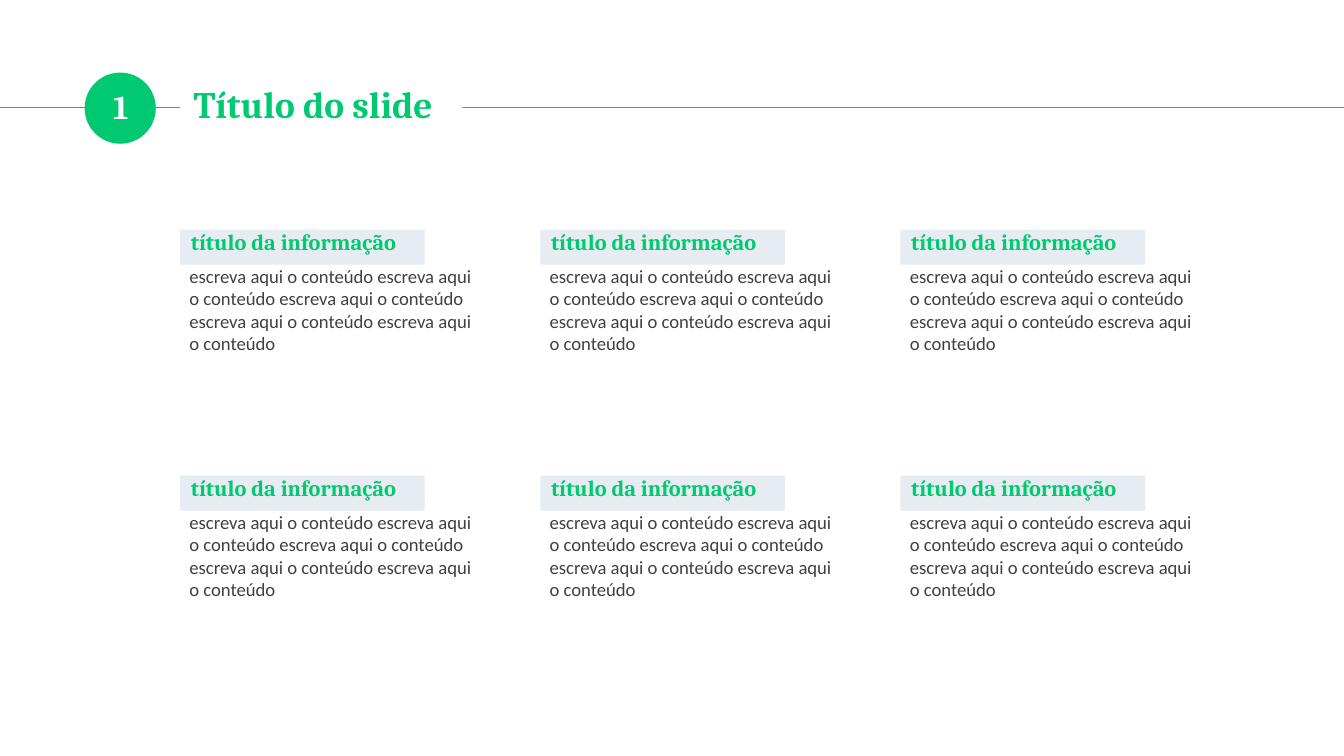
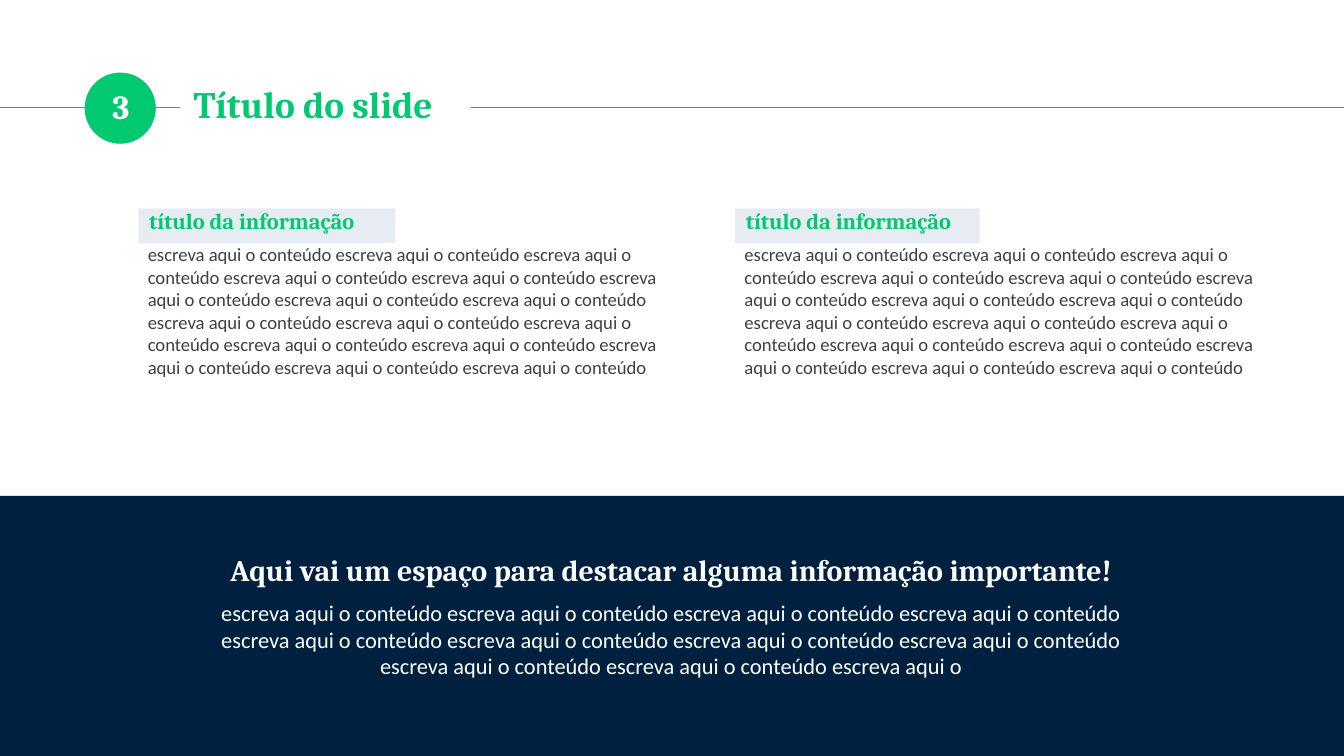
from lxml import etree
from pptx import Presentation
from pptx.dml.color import RGBColor
from pptx.enum import shapes, text
from pptx.oxml.ns import qn
from pptx.util import Inches, Pt

PAGE_WIDTH = 10
PAGE_HEIGHT = PAGE_WIDTH * 9 / 16

GREEN = RGBColor(0x00, 0xC9, 0x71)
NAVY = RGBColor(0x00, 0x20, 0x3F)
PALE = RGBColor(0xE6, 0xEC, 0xF1)
DARK = RGBColor(0x40, 0x40, 0x40)
GRAY = RGBColor(0x7F, 0x7F, 0x7F)
WHITE = RGBColor(0xFF, 0xFF, 0xFF)

LEFT, CENTER = text.PP_ALIGN.LEFT, text.PP_ALIGN.CENTER
TOP, MIDDLE = text.MSO_ANCHOR.TOP, text.MSO_ANCHOR.MIDDLE
RECTANGLE, OVAL = shapes.MSO_SHAPE.RECTANGLE, shapes.MSO_SHAPE.OVAL

TITLE_FONT = {"name": "Cambria", "size": Pt(20), "bold": True}
NUMBER_FONT = {"name": "Cambria", "size": Pt(18), "bold": True}
CALLOUT_FONT = {"name": "Cambria", "size": Pt(16), "bold": True}
HEADING_FONT = {"name": "Cambria", "size": Pt(12), "bold": True}
LEAD_FONT = {"name": "Calibri", "size": Pt(12), "bold": False}
BODY_FONT = {"name": "Calibri", "size": Pt(10), "bold": False}

HEADER_SPACING = {"line_spacing": 0.9, "space_before": Pt(7.5)}
CARD_SPACING = {"space_before": Pt(6)}
CARD_MARGINS = {"margin_left": Inches(0.08), "margin_top": 0,
                "margin_right": Inches(0.08), "margin_bottom": Inches(0.08)}
PHRASE = "escreva aqui o conteúdo"


def add_block(page, kind, left, top, width, height, color):
    """Add a filled preset shape without outline or shadow."""
    block = page.shapes.add_shape(
        kind, Inches(left), Inches(top), Inches(width), Inches(height))
    block.shadow.inherit = False
    block.fill.solid()
    block.fill.fore_color.rgb = color
    block.line.fill.background()
    return block


def write(box, lines, anchor, align, spacing, margins):
    """Fill a box with one paragraph per (wording, font, color) line."""
    frame = box.text_frame
    frame.word_wrap = True
    frame.auto_size = text.MSO_AUTO_SIZE.NONE
    frame.vertical_anchor = anchor
    for name, value in margins.items():
        setattr(frame, name, value)
    for index, (wording, font, color) in enumerate(lines):
        para = frame.add_paragraph() if index else frame.paragraphs[0]
        para.alignment = align
        for name, value in spacing.items():
            setattr(para, name, value)
        span = para.add_run()
        span.text = wording
        for name, value in font.items():
            setattr(span.font, name, value)
        span.font.color.rgb = color


deck = Presentation()
deck.slide_width, deck.slide_height = Inches(PAGE_WIDTH), Inches(PAGE_HEIGHT)

# Each card: left, top, heading width, body width
grid_cards = [(1.34 + 2.68 * column, 1.71 + 1.83 * row, 1.82, 2.32)
              for row in range(2) for column in range(3)]
pair_cards = [(1.03, 1.55, 1.91, 3.96), (5.47, 1.55, 1.82, 3.96)]

# Each slide: number, title width, cards, phrases per card
pages = []
for number, title_width, cards, phrases in [("1", 2.1, grid_cards, 5),
                                            ("3", 2.16, pair_cards, 16)]:
    page = deck.slides.add_slide(deck.slide_layouts[5])
    pages.append(page)

    # Header: rule and numbered circle, with the title covering the rule
    rule = page.shapes.add_connector(
        shapes.MSO_CONNECTOR.STRAIGHT,
        0, Inches(0.8), Inches(PAGE_WIDTH), Inches(0.8))
    rule.line.color.rgb = GRAY
    rule.line.width = Pt(0.75)
    etree.SubElement(rule._element.spPr, qn("a:effectLst"))
    title = page.shapes.title
    title._element.addprevious(rule._element)
    title.left, title.top = Inches(1.34), Inches(0.57)
    title.width, title.height = Inches(title_width), Inches(0.45)
    title.fill.solid()
    title.fill.fore_color.rgb = WHITE
    write(title, [("Título do slide", TITLE_FONT, GREEN)],
          MIDDLE, LEFT, HEADER_SPACING, {})
    add_block(page, OVAL, 0.63, 0.54, 0.53, 0.53, GREEN)
    number_box = page.shapes.add_textbox(
        Inches(0.55), Inches(0.6), Inches(0.7), Inches(0.41))
    write(number_box, [(number, NUMBER_FONT, WHITE)],
          MIDDLE, CENTER, HEADER_SPACING, {})

    for left, top, heading_width, body_width in cards:
        body = page.shapes.add_textbox(
            Inches(left - 0.01), Inches(top + 0.26), Inches(body_width), Inches(1.22))
        write(body, [(" ".join([PHRASE] * phrases), BODY_FONT, DARK)],
              TOP, LEFT, CARD_SPACING, CARD_MARGINS)
        heading = add_block(page, RECTANGLE, left, top, heading_width, 0.26, PALE)
        write(heading, [("título da informação", HEADING_FONT, GREEN)],
              MIDDLE, LEFT, CARD_SPACING, CARD_MARGINS)

# Highlight band at the foot of the last slide
page = pages[-1]
add_block(page, RECTANGLE, 0, 3.69, PAGE_WIDTH, PAGE_HEIGHT - 3.69, NAVY)
callout = page.shapes.add_textbox(
    Inches(1.3), Inches(3.88), Inches(7.39), Inches(1.48))
write(callout,
      [("Aqui vai um espaço para destacar alguma informação importante!",
        CALLOUT_FONT, WHITE),
       (" ".join([PHRASE] * 10 + ["escreva aqui o"]), LEAD_FONT, WHITE)],
      MIDDLE, CENTER, CARD_SPACING, CARD_MARGINS)

deck.save("out.pptx")
